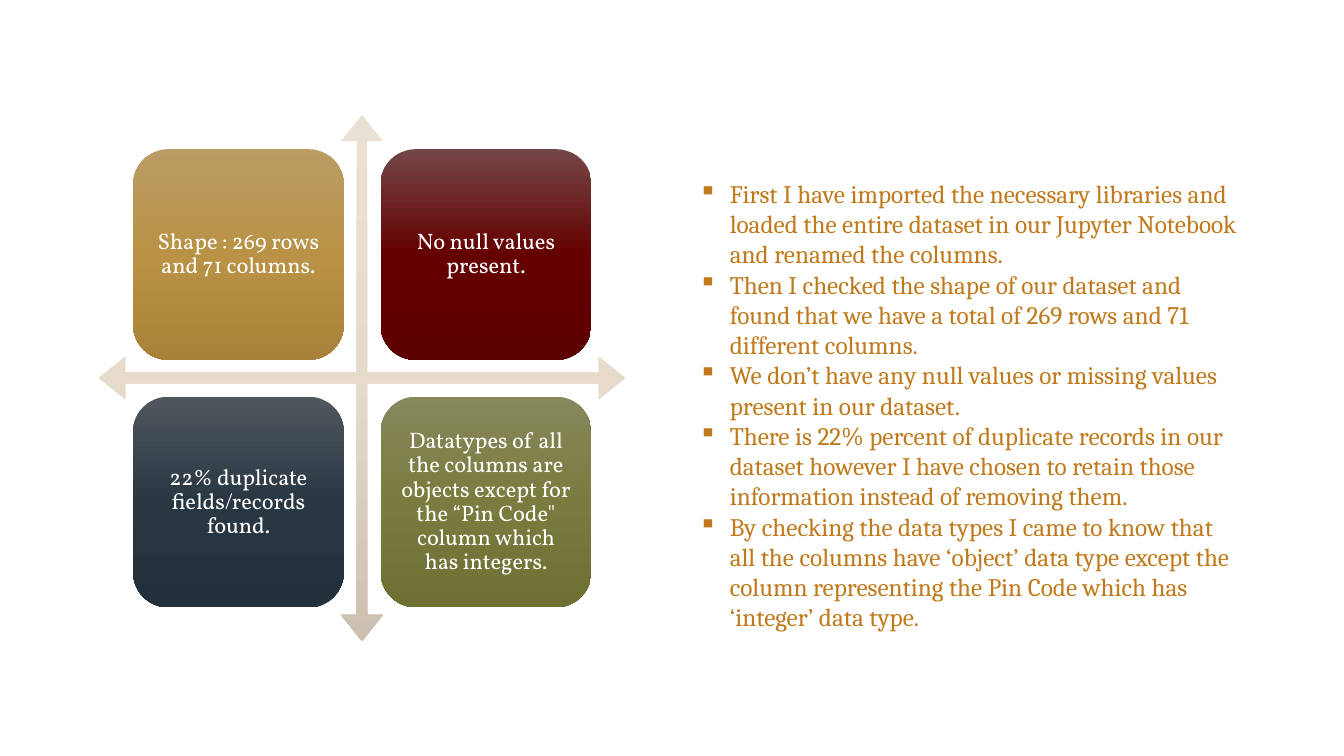
from copy import deepcopy
from dataclasses import dataclass

from lxml import etree
from pptx import Presentation
from pptx.dml import color
from pptx.enum import shapes, text
from pptx.oxml import ns
from pptx.util import Inches, Pt

COLORS = {
    "white": "FFFFFF",
    "amber": "C0791B",
}
GRADIENTS = {
    "sand": ("E9E1D4", "E6DBCB", "CCC0B1"),
    "gold": ("BB9C64", "B99245", "A78238"),
    "maroon": ("744747", "650000", "5D0000"),
    "slate": ("50575D", "293743", "22303B"),
    "olive": ("87885C", "7A7B3E", "6D6F33"),
}


@dataclass(frozen=True)
class Finding:
    wording: str
    gradient: str


FINDINGS = [
    Finding("Shape : 269 rows and 71 columns.", "gold"),
    Finding("No null values present.", "maroon"),
    Finding("22% duplicate fields/records found.", "slate"),
    Finding('Datatypes of all the columns are objects except for the “Pin Code" '
            "column which has integers.", "olive"),
]
STEPS = [
    "First I have imported the necessary libraries and loaded the entire dataset "
    "in our Jupyter Notebook and renamed the columns.",
    "Then I checked the shape of our dataset and found that we have a total of "
    "269 rows and 71 different columns.",
    "We don’t have any null values or missing values present in our dataset.",
    "There is 22% percent of duplicate records in our dataset however I have "
    "chosen to retain those information instead of removing them.",
    "By checking the data types I came to know that all the columns have ‘object’ "
    "data type except the column representing the Pin Code which has ‘integer’ "
    "data type.",
]
TILE_LEFT, TILE_TOP, TILE_SIZE, TILE_PITCH = 1.32, 1.48, 2.09, 2.455


def apply_format(target, values: dict) -> None:
    for name, value in values.items():
        setattr(target, name, value)


def add_run(paragraph, wording: str, font: str, size: int, color_name: str) -> None:
    run = paragraph.add_run()
    run.text = wording
    apply_format(run.font, {"name": font, "size": Pt(size)})
    run.font.color.rgb = color.RGBColor.from_string(COLORS[color_name])


def add_gradient_shape(slide, kind, left: float, top: float, size: float,
                       adjustments: list[float], gradient: str):
    """Add a square shape whose three-stop gradient runs downwards."""
    shape = slide.shapes.add_shape(
        kind, Inches(left), Inches(top), Inches(size), Inches(size))
    for index, value in enumerate(adjustments):
        shape.adjustments[index] = value
    shape.shadow.inherit = False
    shape.line.fill.background()
    shape.fill.gradient()
    shape.fill.gradient_angle = 270
    stop_list = shape.element.spPr.find(".//" + ns.qn("a:gsLst"))
    stop_list.append(deepcopy(stop_list[0]))
    stops = zip(shape.fill.gradient_stops, (0, 0.5, 1), GRADIENTS[gradient])
    for stop, position, shade in stops:
        stop.position = position
        stop.color.rgb = color.RGBColor.from_string(shade)
    return shape


def add_tile(slide, finding: Finding, row: int, column: int) -> None:
    tile = add_gradient_shape(
        slide, shapes.MSO_SHAPE.ROUNDED_RECTANGLE,
        TILE_LEFT + column * TILE_PITCH, TILE_TOP + row * TILE_PITCH, TILE_SIZE,
        [0.167], finding.gradient)
    inset = Inches(0.07)
    apply_format(tile.text_frame, {
        "word_wrap": True,
        "vertical_anchor": text.MSO_ANCHOR.MIDDLE,
        "margin_left": inset, "margin_right": inset,
        "margin_top": inset, "margin_bottom": inset,
    })
    paragraph = tile.text_frame.paragraphs[0]
    apply_format(paragraph, {"alignment": text.PP_ALIGN.CENTER, "line_spacing": 0.9})
    add_run(paragraph, finding.wording, "Vollkorn", 16, "white")


def add_bullet(paragraph) -> None:
    properties = paragraph._p.get_or_add_pPr()
    indent = Inches(0.31)
    properties.set("marL", str(indent))
    properties.set("indent", str(-indent))
    tint = etree.SubElement(properties, ns.qn("a:buClr"))
    etree.SubElement(tint, ns.qn("a:srgbClr"), val=COLORS["amber"])
    etree.SubElement(properties, ns.qn("a:buChar"), char="▪")


def add_steps(slide) -> None:
    box = slide.shapes.add_textbox(
        Inches(6.83), Inches(1.72), Inches(5.58), Inches(4.64))
    frame = box.text_frame
    apply_format(frame, {
        "word_wrap": True,
        "auto_size": text.MSO_AUTO_SIZE.SHAPE_TO_FIT_TEXT,
    })
    for index, step in enumerate(STEPS):
        paragraph = frame.add_paragraph() if index else frame.paragraphs[0]
        add_bullet(paragraph)
        add_run(paragraph, step, "Cambria", 18, "amber")


def main() -> None:
    deck = Presentation()
    apply_format(deck, {"slide_width": Inches(13.33), "slide_height": Inches(7.5)})
    slide = deck.slides.add_slide(deck.slide_layouts[6])
    add_gradient_shape(slide, shapes.MSO_SHAPE.QUAD_ARROW, 0.98, 1.14, 5.22,
                       [0.02, 0.04, 0.05], "sand")
    for index, finding in enumerate(FINDINGS):
        add_tile(slide, finding, *divmod(index, 2))
    add_steps(slide)
    deck.save("out.pptx")


if __name__ == "__main__":
    main()
